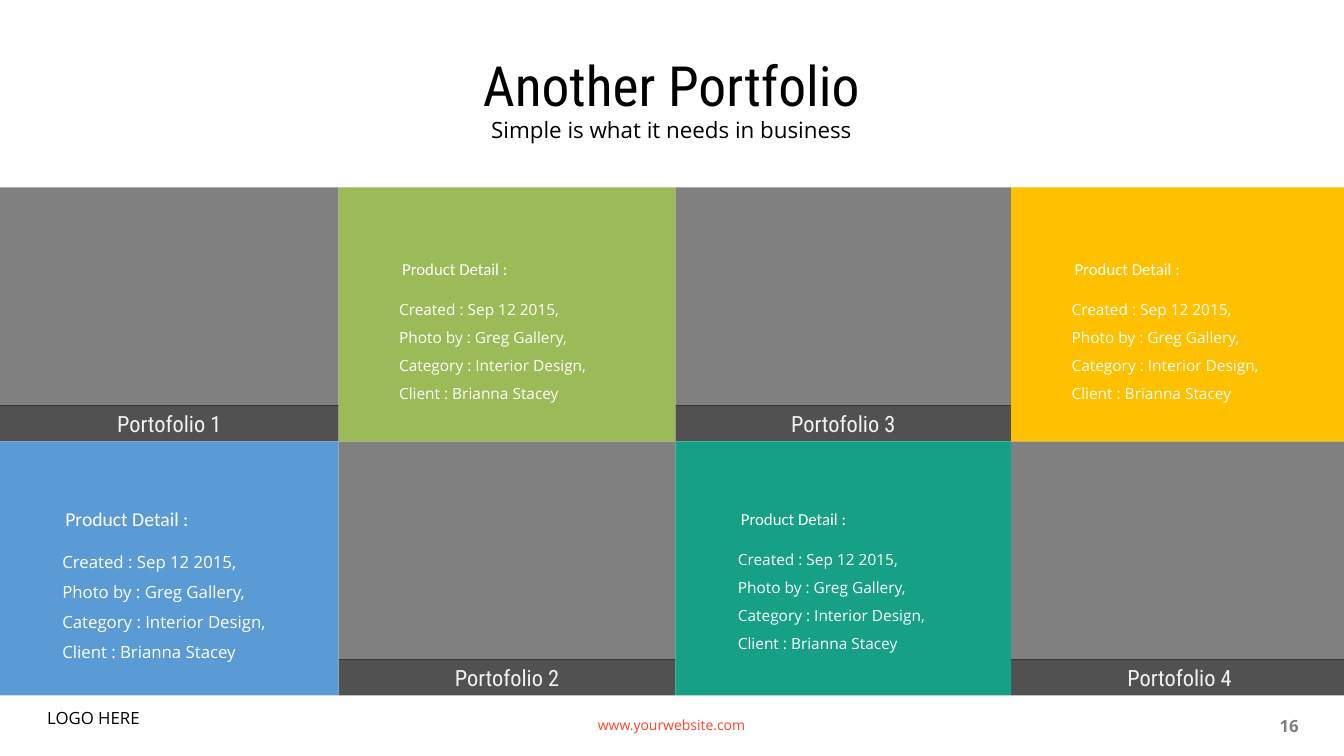
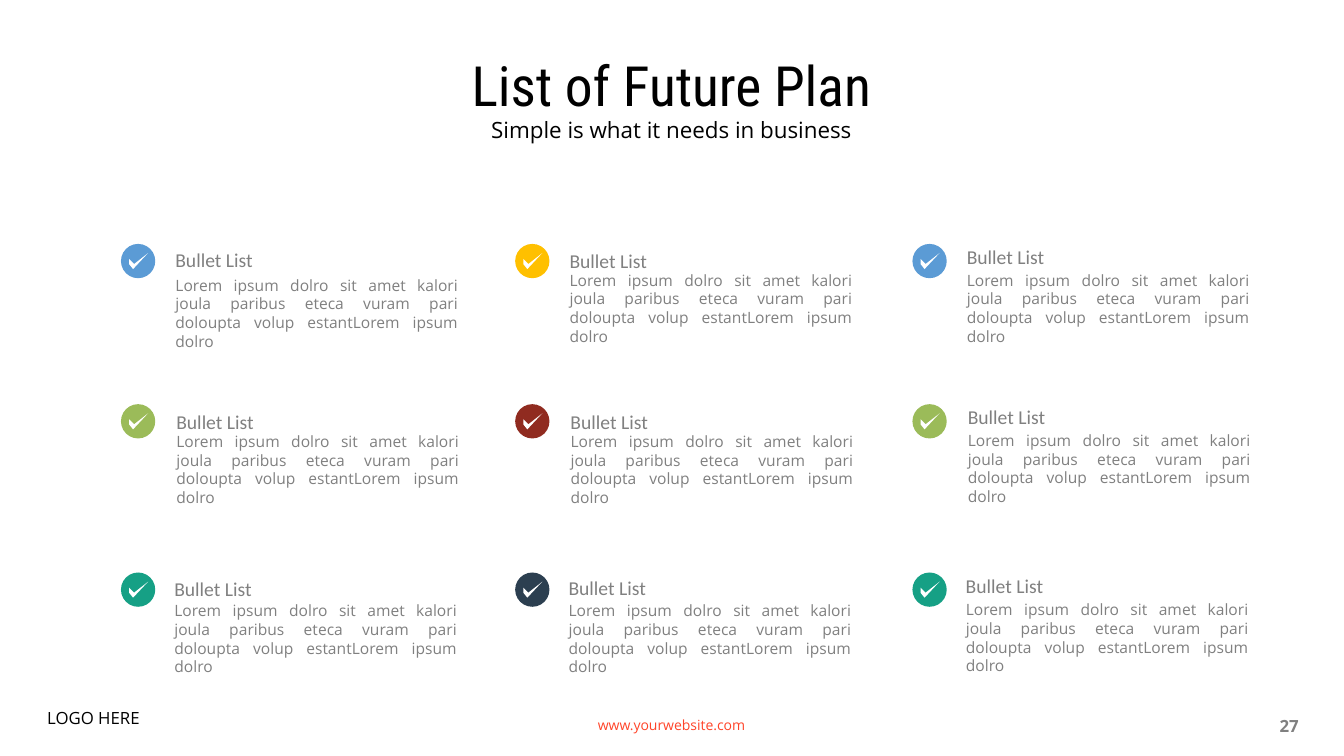
from dataclasses import dataclass

from lxml.etree import SubElement
from pptx import Presentation
from pptx.dml.color import RGBColor as Rgb
from pptx.enum.shapes import MSO_SHAPE as Kind
from pptx.enum.text import MSO_ANCHOR as Anchor, PP_ALIGN as Align
from pptx.oxml.ns import qn
from pptx.util import Inches, Pt


@dataclass(frozen=True)
class Theme:
    # Colours
    black: str = "000000"
    white: str = "FFFFFF"
    pale: str = "F2F2F2"
    grey: str = "808080"
    dark: str = "262626"
    link: str = "FF4429"
    blue: str = "5B9BD5"
    green: str = "9BBB59"
    teal: str = "16A085"
    gold: str = "FFC000"
    red: str = "902B20"
    navy: str = "2C3F50"
    # Fonts
    head: str = "Roboto Condensed"
    body: str = "Open Sans"
    label: str = "Calibri"
    # Type sizes
    title: float = 39.6
    large: float = 16
    mid: float = 14
    note: float = 12
    plan: float = 11.1
    small: float = 11
    tiny: float = 10


T = Theme()


@dataclass(frozen=True)
class Style:
    font: str
    size: float
    color: str
    align: Align = Align.LEFT
    anchor: Anchor = Anchor.TOP
    space: float = 1.0
    bold: bool = False


@dataclass(frozen=True)
class Box:
    left: float
    top: float
    width: float
    height: float

    def emu(self) -> tuple:
        return tuple(Inches(v) for v in (self.left, self.top, self.width, self.height))


@dataclass(frozen=True)
class Photo:
    col: int
    row: int
    name: str


@dataclass(frozen=True)
class Panel:
    col: int
    row: int
    color: str
    indent: float
    head_size: float = T.note
    text_size: float = T.small


@dataclass(frozen=True)
class Plan:
    col: int
    row: int
    color: str
    head_mid: float
    text_top: float


# Shared text styles
TITLE = Style(T.head, T.title, T.black, Align.CENTER, Anchor.MIDDLE, 0.9)
SUB = Style(T.body, T.large, T.black, Align.CENTER, space=0.8)
SITE = Style(T.body, T.tiny, T.link, Align.CENTER, Anchor.MIDDLE)
PAGE = Style(T.body, T.note, T.grey, Align.RIGHT, Anchor.MIDDLE, bold=True)
LOGO = Style(T.body, T.note, T.black, space=0.9)
BAND = Style(T.head, T.large, T.pale, Align.CENTER, Anchor.MIDDLE)
PLAN_HEAD = Style(T.label, T.mid, T.grey, anchor=Anchor.MIDDLE)
PLAN_TEXT = Style(T.body, T.plan, T.grey, Align.JUSTIFY, Anchor.MIDDLE)

# Portfolio grid
EDGES = (0, 3.36, 6.7, 10.03, 13.37)
ROWS = (1.86, 4.38)
ROW_H, PHOTO_H, BAND_H = 2.52, 2.17, 0.36
TEXT_DROP = (0.98, 0.94)
DETAILS = (
    "Created : Sep 12 2015,\nPhoto by : Greg Gallery,\n"
    "Category : Interior Design,\nClient : Brianna Stacey"
)
PHOTOS = (
    Photo(0, 0, "Portofolio 1"),
    Photo(1, 1, "Portofolio 2"),
    Photo(2, 0, "Portofolio 3"),
    Photo(3, 1, "Portofolio 4"),
)
PANELS = (
    Panel(0, 1, T.blue, 0.52, T.mid, T.note),
    Panel(1, 0, T.green, 0.5),
    Panel(2, 1, T.teal, 0.52),
    Panel(3, 0, T.gold, 0.5),
)

# Plan grid
ICON = 0.34
ICON_X = (1.2, 5.11, 9.05)
ICON_Y = (2.42, 4.01, 5.68)
ROW_SHIFT = (0, 0.01, -0.01)
TICK = ((0.08, 0.2), (0.12, 0.25), (0.26, 0.1), (0.27, 0.09), (0.13, 0.2), (0.08, 0.15))
LOREM = (
    "Lorem ipsum dolro sit amet kalori joula paribus eteca vuram pari "
    "doloupta volup estantLorem ipsum dolro"
)
PLANS = (
    Plan(0, 0, T.blue, 2.58, 2.77),
    Plan(1, 0, T.gold, 2.59, 2.72),
    Plan(2, 0, T.blue, 2.55, 2.72),
    Plan(0, 1, T.green, 4.18, 4.32),
    Plan(1, 1, T.red, 4.18, 4.32),
    Plan(2, 1, T.green, 4.13, 4.31),
    Plan(0, 2, T.teal, 5.84, 6),
    Plan(1, 2, T.navy, 5.83, 6),
    Plan(2, 2, T.teal, 5.81, 5.99),
)


def put_text(shape, text: str, style: Style) -> None:
    frame = shape.text_frame
    frame.word_wrap = True
    frame.vertical_anchor = style.anchor
    frame.text = text
    for para in frame.paragraphs:
        para.alignment = style.align
        para.line_spacing = style.space
        for run in para.runs:
            run.font.name = style.font
            run.font.size = Pt(style.size)
            run.font.bold = style.bold
            run.font.color.rgb = Rgb.from_string(style.color)


def add_text(slide, box: Box, text: str, style: Style):
    shape = slide.shapes.add_textbox(*box.emu())
    put_text(shape, text, style)
    return shape


def paint(shape, color: str) -> None:
    shape.shadow.inherit = False
    shape.fill.solid()
    shape.fill.fore_color.rgb = Rgb.from_string(color)
    shape.line.fill.background()


def add_block(shapes, box: Box, color: str, kind: Kind = Kind.RECTANGLE):
    shape = shapes.add_shape(kind, *box.emu())
    paint(shape, color)
    return shape


def fade(shape, percent: int) -> None:
    tint = shape.fill._xPr.find(f"{qn('a:solidFill')}/{qn('a:srgbClr')}")
    SubElement(tint, qn("a:alpha"), val=str(percent * 1000))


def cell(col: int, row: int, height: float) -> Box:
    return Box(EDGES[col], ROWS[row], EDGES[col + 1] - EDGES[col], height)


def add_photo(slide, photo: Photo) -> None:
    box = cell(photo.col, photo.row, PHOTO_H)
    add_block(slide.shapes, box, T.grey)
    top = box.top + ROW_H - BAND_H
    band = add_block(slide.shapes, Box(box.left, top, box.width, BAND_H), T.dark)
    fade(band, 80)
    put_text(band, photo.name, BAND)


def add_panel(slide, panel: Panel) -> None:
    box = cell(panel.col, panel.row, ROW_H)
    add_block(slide.shapes, box, panel.color)
    left = box.left + panel.indent
    top = box.top + TEXT_DROP[panel.row]
    text = Style(T.body, panel.text_size, T.white, space=1.5)
    head = Style(T.label, panel.head_size, T.white, anchor=Anchor.MIDDLE)
    add_text(slide, Box(left, top, 2.56, 1.21), DETAILS, text)
    add_text(slide, Box(left + 0.03, top - 0.33, 1.96, 0.32), "Product Detail :", head)


def add_icon(slide, left: float, top: float, color: str) -> None:
    shapes = slide.shapes.add_group_shape().shapes
    add_block(shapes, Box(left, top, ICON, ICON), color, Kind.OVAL)
    points = [(Inches(left + x), Inches(top + y)) for x, y in TICK]
    pen = shapes.build_freeform(*points[0])
    pen.add_line_segments(points[1:])
    paint(pen.convert_to_shape(), T.white)


def add_plan(slide, plan: Plan) -> None:
    icon_x = ICON_X[plan.col]
    add_icon(slide, icon_x, ICON_Y[plan.row], plan.color)
    left = icon_x + 0.54 + ROW_SHIFT[plan.row]
    head = Box(left - 0.1, plan.head_mid - 0.15, 1.75, 0.3)
    add_text(slide, head, "Bullet List", PLAN_HEAD)
    text = add_text(slide, Box(left, plan.text_top, 2.9, 0.67), LOREM, PLAN_TEXT)
    text.text_frame.margin_left = 0


def add_slide(deck, title: str, page: int):
    slide = deck.slides.add_slide(deck.slide_layouts[6])
    # Title block
    add_text(slide, Box(0.91, 0.62, 11.5, 0.52), title, TITLE)
    add_text(slide, Box(0.91, 1.15, 11.5, 0.32), "Simple is what it needs in business", SUB)
    # Footer
    add_text(slide, Box(4.41, 6.99, 4.5, 0.4), "www.yourwebsite.com", SITE)
    add_text(slide, Box(9.83, 7, 3.15, 0.4), str(page), PAGE)
    add_text(slide, Box(0.37, 6.99, 4.17, 0.43), "LOGO HERE", LOGO)
    return slide


def main() -> None:
    deck = Presentation()
    deck.slide_width, deck.slide_height = Inches(13.33), Inches(7.5)

    # Portfolio slide
    slide = add_slide(deck, "Another Portfolio", 16)
    for photo in PHOTOS:
        add_photo(slide, photo)
    for panel in PANELS:
        add_panel(slide, panel)

    # Plan slide
    slide = add_slide(deck, "List of Future Plan", 27)
    for plan in PLANS:
        add_plan(slide, plan)

    deck.save("out.pptx")


if __name__ == "__main__":
    main()
